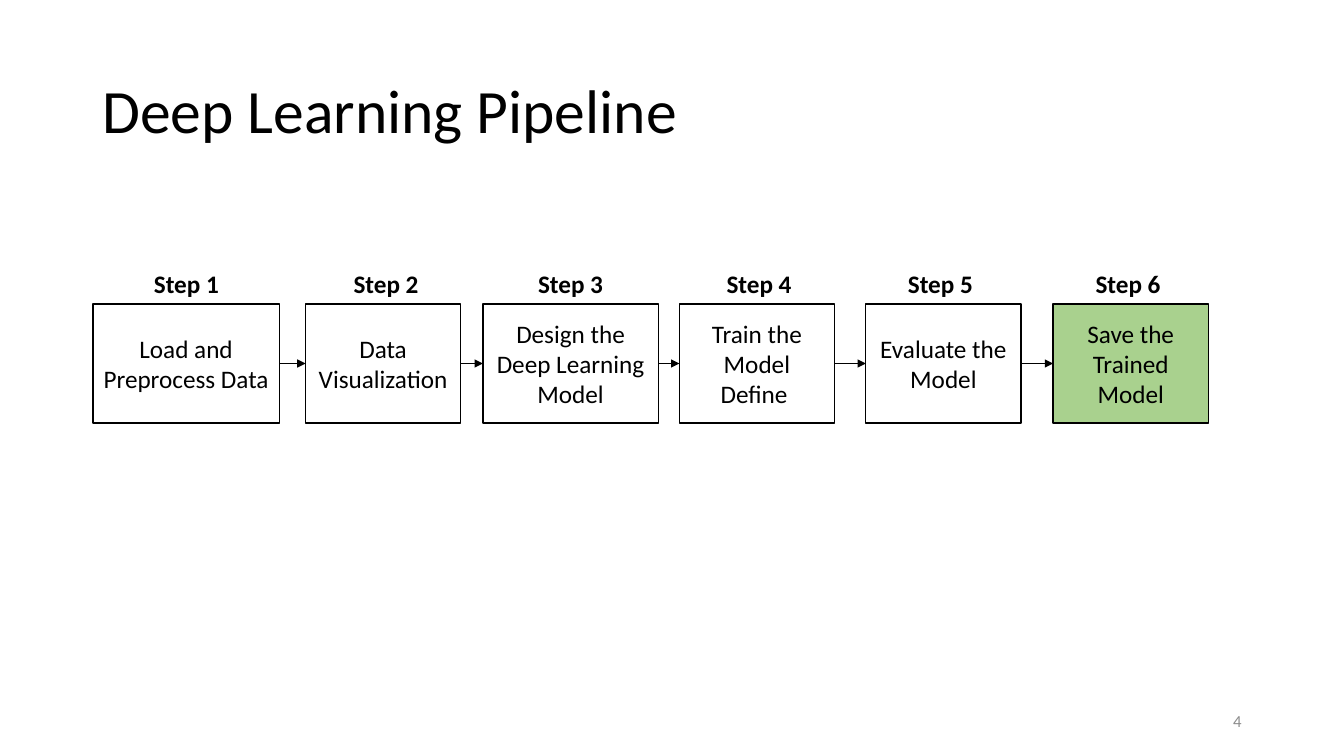
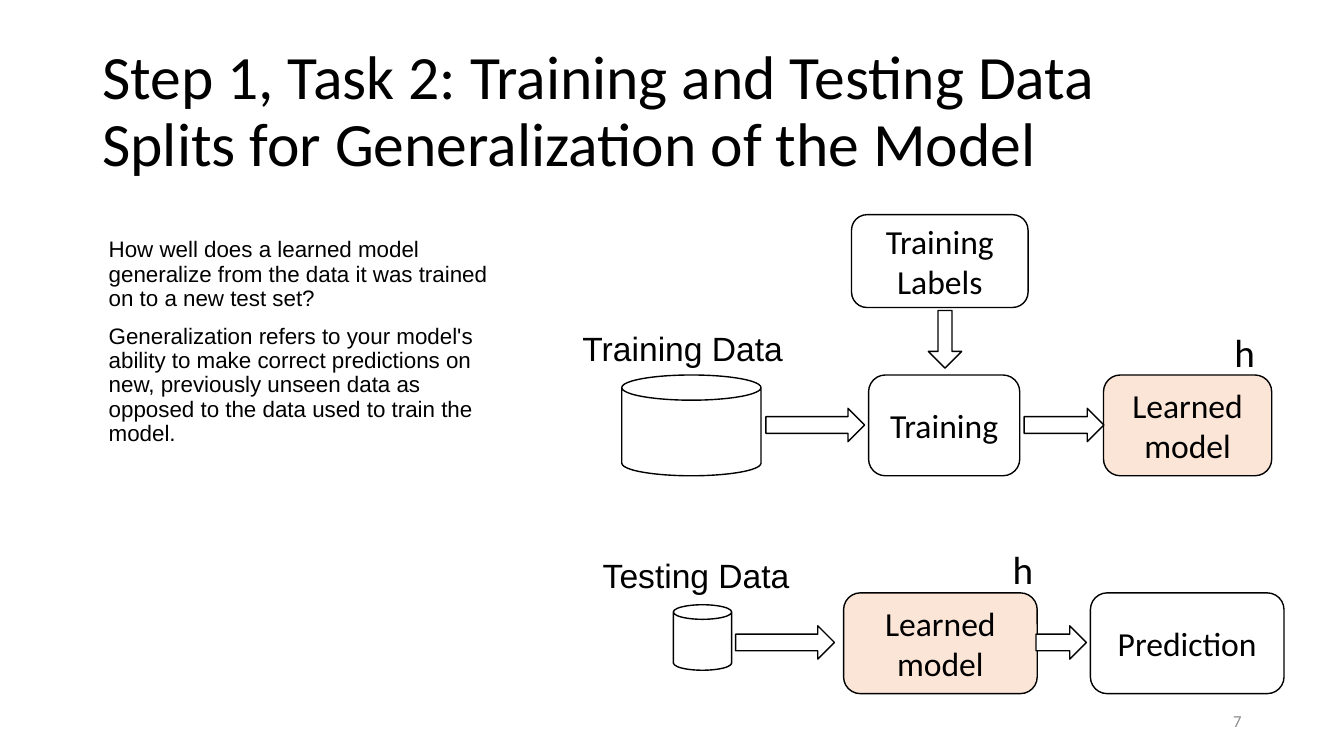
"""Build two slides on a deep learning pipeline and on data splits."""
from lxml import etree
from pptx import Presentation
from pptx.dml.color import RGBColor
from pptx.enum.shapes import MSO_CONNECTOR, MSO_SHAPE
from pptx.enum.text import MSO_ANCHOR, MSO_AUTO_SIZE, PP_ALIGN
from pptx.oxml.ns import qn
from pptx.util import Cm, Pt

RECT, ROUNDED = MSO_SHAPE.RECTANGLE, MSO_SHAPE.ROUNDED_RECTANGLE
ARROW, CAN = MSO_SHAPE.RIGHT_ARROW, MSO_SHAPE.CAN
LEFT, CENTER, RIGHT = PP_ALIGN.LEFT, PP_ALIGN.CENTER, PP_ALIGN.RIGHT
TOP, MIDDLE = MSO_ANCHOR.TOP, MSO_ANCHOR.MIDDLE
STRAIGHT = MSO_CONNECTOR.STRAIGHT
GROW = MSO_AUTO_SIZE.SHAPE_TO_FIT_TEXT

BLACK, WHITE, GREY = "000000", "FFFFFF", "8C8C8C"
GREEN, PEACH = "A9D18E", "FBE5D6"
SANS, ARIAL = "Calibri", "Arial"

PIPELINE_TITLE = "Deep Learning Pipeline"
STEP_TOP, STEP_HEIGHT, STEP_LABEL_TOP = 7.66, 3, 6.64
STEPS = [
    ("Load and Preprocess Data", 2.34, 4.7, 3.63, None),
    ("Data Visualization", 7.7, 3.91, 8.66, None),
    ("Design the Deep Learning Model", 12.17, 4.42, 13.31, None),
    ("Train the Model\nDefine ", 17.12, 3.91, 18.06, None),
    ("Evaluate the Model", 21.82, 3.91, 22.63, None),
    ("Save the Trained Model", 26.54, 3.91, 27.36, GREEN),
]

SPLIT_TITLE = "Step 1, Task 2: Training and Testing Data Splits for Generalization of the Model"
SPLIT_BODY = (
    "How well does a learned model generalize from the data it was trained on to a new test set?\n"
    "Generalization refers to your model's ability to make correct predictions on new, "
    "previously unseen data as opposed to the data used to train the model."
)
ARROW_HEIGHT = 0.84
FLOWS = [
    {
        "boxes": [
            ("Training Labels", (21.46, 5.41, 4.45, 2.34), None),
            ("Training", (21.89, 9.45, 3.81, 2.54), None),
            ("Learned model", (27.81, 9.45, 4.24, 2.54), PEACH),
        ],
        "arrows": [(19.3, 10.29, 2.49, 0), (23.09, 8.13, 1.45, 90), (25.81, 10.29, 2.01, 0)],
        "data": (15.67, 9.45, 3.51, 2.54),
        "captions": [
            ("Training Data", (14.43, 8.13, 5.61, 1.27), 24, ARIAL),
            ("h", (30.86, 8.15, 1.04, 1.45), 28, SANS),
        ],
    },
    {
        "boxes": [
            ("Prediction", (27.48, 14.94, 4.88, 2.54), WHITE),
            ("Learned model", (21.26, 14.94, 4.88, 2.54), PEACH),
        ],
        "arrows": [(18.54, 15.77, 2.49, 0), (26.11, 15.77, 1.27, 0)],
        "data": (16.97, 15.24, 1.47, 1.65),
        "captions": [
            ("Testing Data", (14.94, 13.87, 5.26, 1.27), 24, ARIAL),
            ("h", (25.27, 13.61, 1.04, 1.45), 28, SANS),
        ],
    },
]


def rgb(color):
    """Turn a hex string into a colour."""
    return RGBColor.from_string(color)


def write(shape, text, size, font=SANS, color=BLACK, align=LEFT, anchor=TOP,
          bold=False, wrap=True, line_spacing=None, gap=0):
    """Put formatted text into a shape."""
    frame = shape.text_frame
    frame.text = text
    frame.word_wrap = wrap
    frame.vertical_anchor = anchor
    if not wrap:
        frame.auto_size = GROW
    for index, paragraph in enumerate(frame.paragraphs):
        paragraph.alignment = align
        paragraph.line_spacing = line_spacing
        if index and gap:
            paragraph.space_before = Pt(gap)
        for run in paragraph.runs:
            run.font.name = font
            run.font.size = Pt(size)
            run.font.bold = bold
            run.font.color.rgb = rgb(color)


def add_text(shapes, place, text, size, **style):
    """Add a text box."""
    write(shapes.add_textbox(*map(Cm, place)), text, size, **style)


def add_outlined(shapes, preset, place, fill=None):
    """Add a black-outlined preset shape."""
    shape = shapes.add_shape(preset, *map(Cm, place))
    shape.shadow.inherit = False
    if fill:
        shape.fill.solid()
        shape.fill.fore_color.rgb = rgb(fill)
    else:
        shape.fill.background()
    shape.line.color.rgb = rgb(BLACK)
    shape.line.width = Pt(1)
    return shape


def add_box(shapes, preset, place, text, size, fill):
    """Add an outlined box with centred text."""
    box = add_outlined(shapes, preset, place, fill)
    write(box, text, size, align=CENTER, anchor=MIDDLE)


def add_link(shapes, start, end, height):
    """Add a horizontal line with an arrowhead."""
    link = shapes.add_connector(STRAIGHT, Cm(start), Cm(height), Cm(end), Cm(height))
    link.line.color.rgb = rgb(BLACK)
    link.line.width = Pt(0.75)
    etree.SubElement(link.line._get_or_add_ln(), qn("a:tailEnd"), type="triangle")
    etree.SubElement(link._element.spPr, qn("a:effectLst"))


def add_slide(deck, title, number):
    """Add a blank slide with title and number."""
    shapes = deck.slides.add_slide(deck.slide_layouts[6]).shapes
    add_text(shapes, (2.33, 1.01, 29.21, 3.68), title, 44, anchor=MIDDLE, line_spacing=0.9)
    add_text(shapes, (23.92, 17.65, 7.62, 1.01), str(number), 12,
             color=GREY, align=RIGHT, anchor=MIDDLE)
    return shapes


def build_pipeline(deck):
    """Draw the chain of steps."""
    shapes = add_slide(deck, PIPELINE_TITLE, 4)
    previous_end = None
    for number, (task, left, width, label_left, fill) in enumerate(STEPS, 1):
        add_box(shapes, RECT, (left, STEP_TOP, width, STEP_HEIGHT), task, 18, fill)
        add_text(shapes, (label_left, STEP_LABEL_TOP, 2.16, 1.02), f"Step {number}", 18,
                 bold=True, wrap=False)
        if previous_end:
            add_link(shapes, previous_end, left, STEP_TOP + STEP_HEIGHT / 2)
        previous_end = left + width


def build_split(deck):
    """Draw the training and testing flows."""
    shapes = add_slide(deck, SPLIT_TITLE, 7)
    add_text(shapes, (2.49, 5.89, 10.67, 12.52), SPLIT_BODY, 16,
             font=ARIAL, line_spacing=0.9, gap=10)
    for flow in FLOWS:
        parts = shapes.add_group_shape().shapes
        for text, place, fill in flow["boxes"]:
            add_box(parts, ROUNDED, place, text, 24, fill)
        for left, top, length, turn in flow["arrows"]:
            arrow = add_outlined(parts, ARROW, (left, top, length, ARROW_HEIGHT), WHITE)
            arrow.rotation = turn
            if turn:
                arrow.adjustments[0] = 0.42
        add_outlined(parts, CAN, flow["data"])
        for text, place, size, font in flow["captions"]:
            add_text(parts, place, text, size, font=font, wrap=False)


def main():
    """Build and save the deck."""
    deck = Presentation()
    deck.slide_width, deck.slide_height = Cm(33.87), Cm(19.05)
    build_pipeline(deck)
    build_split(deck)
    deck.save("out.pptx")


if __name__ == "__main__":
    main()
